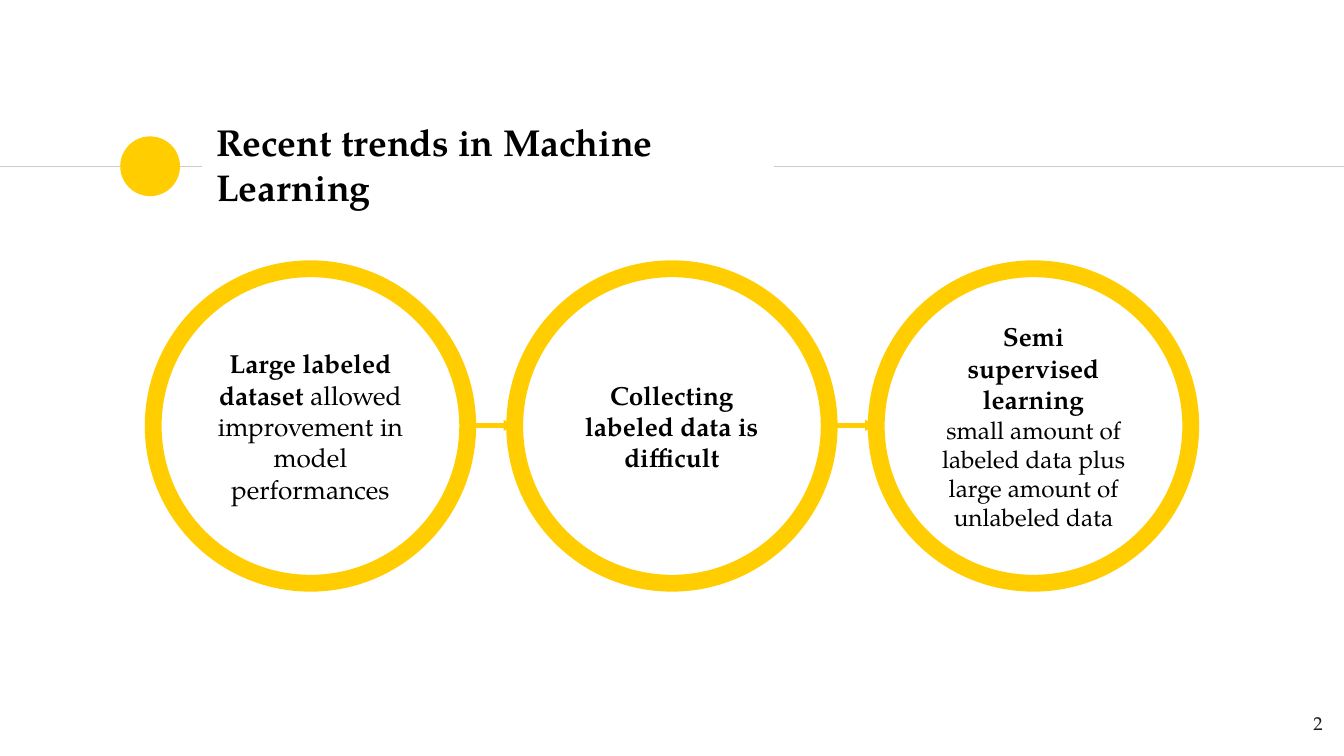
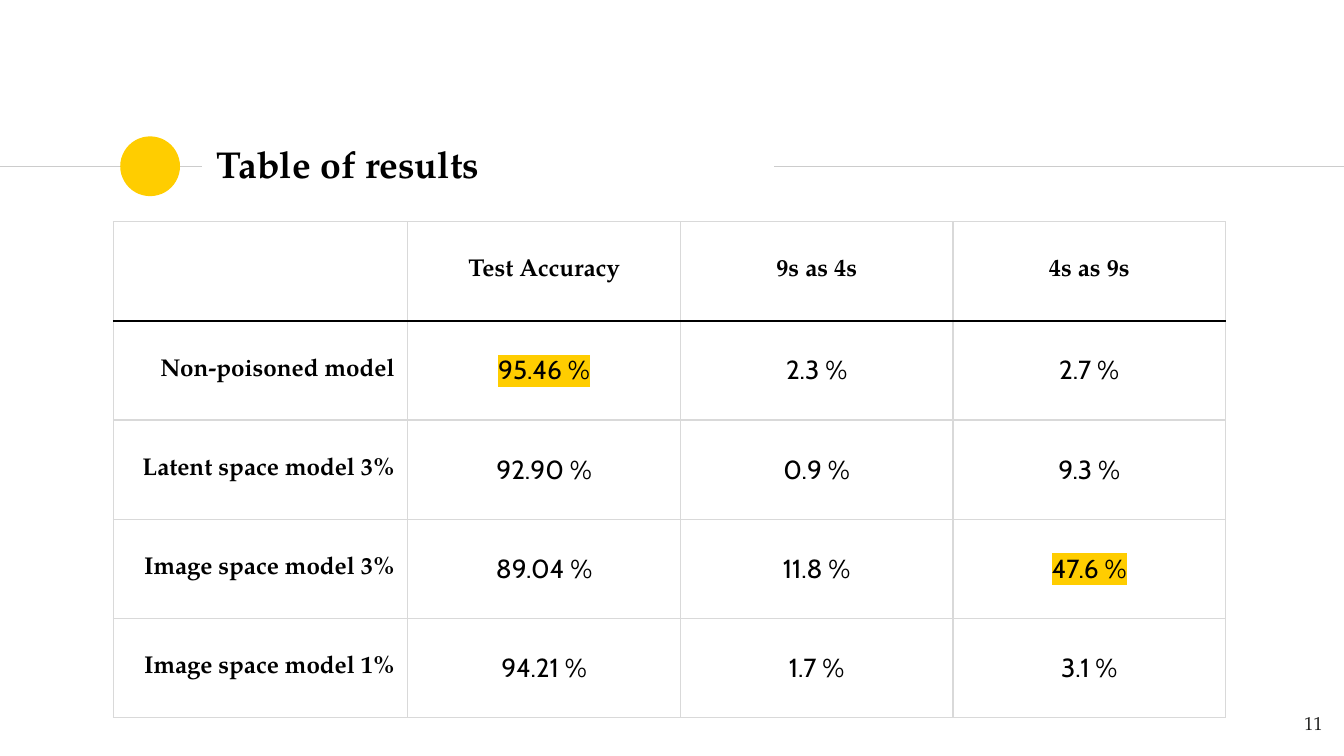
from dataclasses import dataclass
from lxml.etree import Element, SubElement
from pptx import Presentation
from pptx.dml.color import RGBColor
from pptx.enum.shapes import MSO_CONNECTOR, MSO_SHAPE
from pptx.enum.text import MSO_ANCHOR, PP_ALIGN
from pptx.oxml.ns import qn
from pptx.util import Pt


@dataclass(frozen=True)
class Theme:
    """Colours, fonts and type sizes of the deck."""
    gold: str = "FFCD00"
    rule: str = "CCCCCC"
    grid: str = "D9D9D9"
    ink: str = "000000"
    soft: str = "1D1D1B"
    serif: str = "TeX Gyre Pagella"
    sans: str = "Cabin"
    head: int = 20
    body: int = 14
    small: int = 13
    foot: int = 10


T = Theme()
SCALE = 4572
WIDTH, HEIGHT = 2000, 1125
LEFT, MID, RIGHT = PP_ALIGN.LEFT, PP_ALIGN.CENTER, PP_ALIGN.RIGHT

STEPS = [
    [[("Large labeled dataset ", T.body, True),
      ("allowed improvement in model performances", T.body, False)]],
    [[("Collecting labeled data is difficult", T.body, True)]],
    [[("Semi supervised learning", T.body, True)],
     [("small amount of labeled data plus large amount of unlabeled data",
       T.small, False)]],
]
HEADS = ["", "Test Accuracy", "9s as 4s", "4s as 9s"]
ROWS = [
    ["Non-poisoned model", "95.46 %", "2.3 %", "2.7 %"],
    ["Latent space model 3%", "92.90 %", "0.9 %", "9.3 %"],
    ["Image space model 3%", "89.04 %", "11.8 %", "47.6 %"],
    ["Image space model 1%", "94.21 %", "1.7 %", "3.1 %"],
]
MARKED = {(1, 1), (3, 3)}


def px(n):
    """Turn px, 200 to the inch, into EMU."""
    return n * SCALE


def rgb(tone):
    """Return the colour of a hex string."""
    return RGBColor.from_string(tone)


def add_run(para, text, size, bold=False, font=T.serif, tone=T.ink, mark=None):
    """Add one styled run, with a highlight if mark is given."""
    run = para.add_run()
    run.text = text
    run.font.size, run.font.bold, run.font.name = Pt(size), bold, font
    run.font.color.rgb = rgb(tone)
    if mark:
        light = Element(qn("a:highlight"))
        SubElement(light, qn("a:srgbClr"), val=mark)
        run._r.rPr.find(qn("a:solidFill")).addnext(light)


def set_frame(frame, anchor):
    """Wrap a text frame, with even insets."""
    frame.word_wrap = True
    frame.vertical_anchor = anchor
    frame.margin_left = frame.margin_right = px(20)
    frame.margin_top = frame.margin_bottom = px(20)


def add_label(slide, box, text, size, align, anchor, **style):
    """Add a text box holding one run."""
    frame = slide.shapes.add_textbox(*map(px, box)).text_frame
    set_frame(frame, anchor)
    para = frame.paragraphs[0]
    para.alignment = align
    add_run(para, text, size, **style)


def add_line(slide, start, end, y, tone, width, arrow=False):
    """Draw a level line, with a small arrowhead at its end if asked."""
    line = slide.shapes.add_connector(
        MSO_CONNECTOR.STRAIGHT, px(start), px(y), px(end), px(y))
    line.line.color.rgb = rgb(tone)
    line.line.width = Pt(width)
    props = line._element.spPr
    if arrow:
        SubElement(props.find(qn("a:ln")), qn("a:tailEnd"),
                   type="triangle", w="sm", len="sm")
    SubElement(props, qn("a:effectLst"))


def add_disc(slide, x, y, size):
    """Add a plain circle without a shadow."""
    disc = slide.shapes.add_shape(
        MSO_SHAPE.OVAL, px(x), px(y), px(size), px(size))
    disc.shadow.inherit = False
    return disc


def add_band(slide, title, box):
    """Place the title with its rules and dot, around the title box."""
    x, y, w, h = box
    mid = y + 52
    add_line(slide, 0, x - 2, mid, T.rule, 0.75)
    dot = add_disc(slide, x - 123, mid - 45, 89)
    dot.fill.solid()
    dot.fill.fore_color.rgb = rgb(T.gold)
    dot.line.fill.background()
    add_line(slide, x + w + 2, WIDTH, mid, T.rule, 0.75)
    add_label(slide, box, title, T.head, LEFT, MSO_ANCHOR.MIDDLE, bold=True)


def add_page(deck, title, number):
    """Add a slide with its title band and page number."""
    slide = deck.slides.add_slide(deck.slide_layouts[6])
    add_band(slide, title, (302, 196, 848, 96))
    add_label(slide, (1868, 1042, 120, 83), str(number), T.foot, RIGHT,
              MSO_ANCHOR.TOP, tone=T.soft)
    return slide


def add_steps(slide, steps, box):
    """Spread ringed steps over the box and join them with arrows."""
    x, y, w, size = box
    pitch = (w - size) // (len(steps) - 1)
    for i, paras in enumerate(steps):
        left = x + i * pitch
        ring = add_disc(slide, left, y, size)
        ring.fill.background()
        ring.line.color.rgb = rgb(T.gold)
        ring.line.width = Pt(9)
        frame = ring.text_frame
        set_frame(frame, MSO_ANCHOR.MIDDLE)
        for j, runs in enumerate(paras):
            para = frame.add_paragraph() if j else frame.paragraphs[0]
            para.alignment = MID
            for text, points, bold in runs:
                add_run(para, text, points, bold)
        if i:
            add_line(slide, left - pitch + size, left, y + size // 2 - 1,
                     T.gold, 3, arrow=True)


def set_edges(cell, tones):
    """Draw the left, right, top and bottom borders of a cell."""
    props = cell._tc.get_or_add_tcPr()
    for side, tone in zip("LRTB", tones):
        edge = SubElement(props, qn("a:ln" + side), w=str(Pt(0.75)))
        fill = SubElement(edge, qn("a:solidFill"))
        SubElement(fill, qn("a:srgbClr"), val=tone)


def add_grid(slide, rows, box, first):
    """Fill the box with a table whose first column has its own width."""
    x, y, w, h = map(px, box)
    count = len(rows[0])
    table = slide.shapes.add_table(len(rows), count, x, y, w, h).table
    table.first_row = table.horz_banding = False
    for c, col in enumerate(table.columns):
        col.width = (w - px(first)) // (count - 1) if c else px(first)
    for r, row in enumerate(rows):
        table.rows[r].height = h // len(rows)
        for c, text in enumerate(row):
            cell = table.cell(r, c)
            top = T.ink if r == 1 else T.grid
            base = T.ink if r == 0 else T.grid
            set_edges(cell, (T.grid, T.grid, top, base))
            cell.fill.background()
            cell.vertical_anchor = MSO_ANCHOR.MIDDLE
            cell.margin_left = cell.margin_right = px(20)
            cell.margin_top = cell.margin_bottom = px(14)
            para = cell.text_frame.paragraphs[0]
            para.alignment = MID if c or not r else RIGHT
            if not text:
                continue
            if r and c:
                add_run(para, text, T.body, font=T.sans,
                        mark=T.gold if (r, c) in MARKED else None)
            else:
                add_run(para, text, T.small, bold=True)


def main():
    """Build and save the deck."""
    deck = Presentation()
    deck.slide_width, deck.slide_height = px(WIDTH), px(HEIGHT)
    trends = add_page(deck, "Recent trends in Machine Learning", 2)
    add_steps(trends, STEPS, (228, 400, 1544, 468))
    results = add_page(deck, "Table of results", 11)
    add_grid(results, [HEADS] + ROWS, (169, 330, 1655, 738), 438)
    deck.save("out.pptx")


if __name__ == "__main__":
    main()
